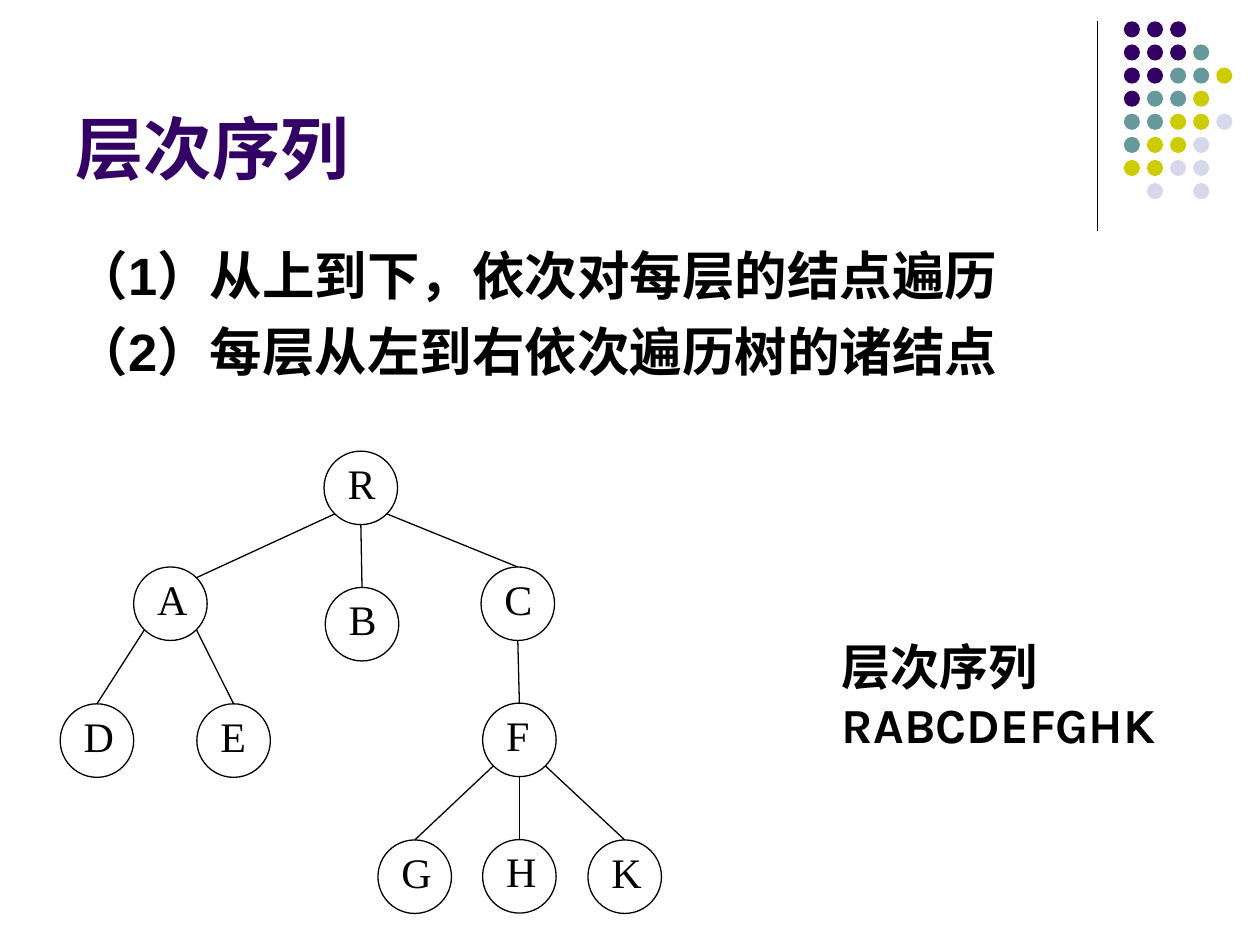
import math

import pptx
import pptx.dml.color
import pptx.enum.shapes
import pptx.enum.text
import pptx.oxml
import pptx.util

Pt = pptx.util.Pt
RGBColor = pptx.dml.color.RGBColor
MSO_SHAPE = pptx.enum.shapes.MSO_SHAPE
ANCHOR = pptx.enum.text.MSO_ANCHOR
AUTO_SIZE = pptx.enum.text.MSO_AUTO_SIZE

BLACK = RGBColor(0x00, 0x00, 0x00)
PURPLE = RGBColor(0x33, 0x00, 0x66)
TEAL = RGBColor(0x66, 0x99, 0x99)
OLIVE = RGBColor(0xCC, 0xCC, 0x00)
LAVENDER = RGBColor(0xD8, 0xD8, 0xEC)

deck = pptx.Presentation()
deck.slide_width, deck.slide_height = Pt(720), Pt(540)
page = deck.slides.add_slide(deck.slide_layouts[1])


def add_line(start, end):
    line = page.shapes.add_connector(
        pptx.enum.shapes.MSO_CONNECTOR.STRAIGHT, *map(Pt, start + end))
    line.line.color.rgb = BLACK
    line.line.width = Pt(0.75)
    line._element.spPr.append(pptx.oxml.parse_xml(
        '<a:effectLst xmlns:a="http://schemas.openxmlformats.org/drawingml/2006/main"/>'))


def add_text(para, text, font, size, color, bold=False):
    span = para.add_run()
    span.text = text
    span.font.name = font
    span.font.size = Pt(size)
    span.font.color.rgb = color
    span.font.bold = bold


# Corner decoration: vertical rule and dot grid
add_line((627.12, 12.24), (627.12, 131.76))
DOT_COLORS = {"P": PURPLE, "T": TEAL, "O": OLIVE, "L": LAVENDER}
DOT_ROWS = ["PPP", "PPPT", "PPTTO", "PTTO", "TTOOL", "TOOL", "OOLL", " L L"]
DOT_STEP = 13.2
for row, codes in enumerate(DOT_ROWS):
    for column, code in enumerate(codes):
        if code == " ":
            continue
        dot = page.shapes.add_shape(
            MSO_SHAPE.OVAL, Pt(642.2 + column * DOT_STEP),
            Pt(12.2 + row * DOT_STEP), Pt(9.2), Pt(9.2))
        dot.shadow.inherit = False
        dot.fill.solid()
        dot.fill.fore_color.rgb = DOT_COLORS[code]
        dot.line.fill.background()

# Title
title = page.shapes.title
title.left, title.top, title.width, title.height = Pt(36), Pt(9.4), Pt(594), Pt(102)
title.text_frame.auto_size = AUTO_SIZE.NONE
title.text_frame.vertical_anchor = ANCHOR.BOTTOM
para = title.text_frame.paragraphs[0]
para.alignment = pptx.enum.text.PP_ALIGN.LEFT
add_text(para, "层次序列", "Arial", 39, PURPLE, True)

# Traversal rules
body = page.placeholders[1]
body.left, body.top, body.width, body.height = Pt(36), Pt(135.4), Pt(648), Pt(347)
body.text_frame.auto_size = AUTO_SIZE.NONE
RULES = ["（1）从上到下，依次对每层的结点遍历", "（2）每层从左到右依次遍历树的诸结点"]
for index, rule in enumerate(RULES):
    para = body.text_frame.paragraphs[0] if index == 0 else body.text_frame.add_paragraph()
    properties = para._p.get_or_add_pPr()
    properties.set("marL", str(Pt(27)))
    properties.set("indent", str(Pt(-27)))
    properties.append(pptx.oxml.parse_xml(
        '<a:buNone xmlns:a="http://schemas.openxmlformats.org/drawingml/2006/main"/>'))
    para.space_before = Pt(7.5 if index else 0)
    add_text(para, rule, "Arial", 30, BLACK, True)

# Tree nodes: left and top of each circle, width of its label
DIAMETER = 42
NODES = {
    "R": (185.2, 257.8, 30.2),
    "A": (76.4, 324, 31.7), "B": (185.9, 335.7, 30.2), "C": (274.9, 324, 30.2),
    "D": (34.4, 402.2, 31.7), "E": (112.5, 402.2, 28.8), "F": (275.8, 401.8, 27.4),
    "G": (216, 480, 31.7), "H": (275.8, 479.8, 31.7), "K": (336, 480, 31.7),
}
for name, (left, top, label_width) in NODES.items():
    node = page.shapes.add_shape(
        MSO_SHAPE.OVAL, Pt(left), Pt(top), Pt(DIAMETER), Pt(DIAMETER))
    node.shadow.inherit = False
    node.fill.background()
    node.line.color.rgb = BLACK
    node.line.width = Pt(0.75)
    label = page.shapes.add_textbox(Pt(left + 6.3), Pt(top), Pt(label_width), Pt(36))
    label.text_frame.word_wrap = False
    add_text(label.text_frame.paragraphs[0], name, "Times New Roman", 24, BLACK)

# Tree edges: each end is a node and an angle on its circle, clockwise from the right
EDGES = [
    ("R", 135, "A", -45), ("R", 90, "B", -90), ("R", 45, "C", -90),
    ("A", 135, "D", -90), ("A", 45, "E", -90), ("C", 90, "F", -90),
    ("F", 135, "G", -90), ("F", 90, "H", -90), ("F", 45, "K", -90),
]
RADIUS = DIAMETER / 2
for parent, parent_angle, child, child_angle in EDGES:
    ends = []
    for name, angle in ((parent, parent_angle), (child, child_angle)):
        left, top, label_width = NODES[name]
        ends.append((left + RADIUS * (1 + math.cos(math.radians(angle))),
                     top + RADIUS * (1 + math.sin(math.radians(angle)))))
    add_line(*ends)

# Resulting sequence
result = page.shapes.add_textbox(Pt(474), Pt(360), Pt(229.7), Pt(75))
result.text_frame.word_wrap = True
add_text(result.text_frame.paragraphs[0], "层次序列　RABCDEFGHK", "Karla", 28, BLACK, True)

deck.save("out.pptx")
